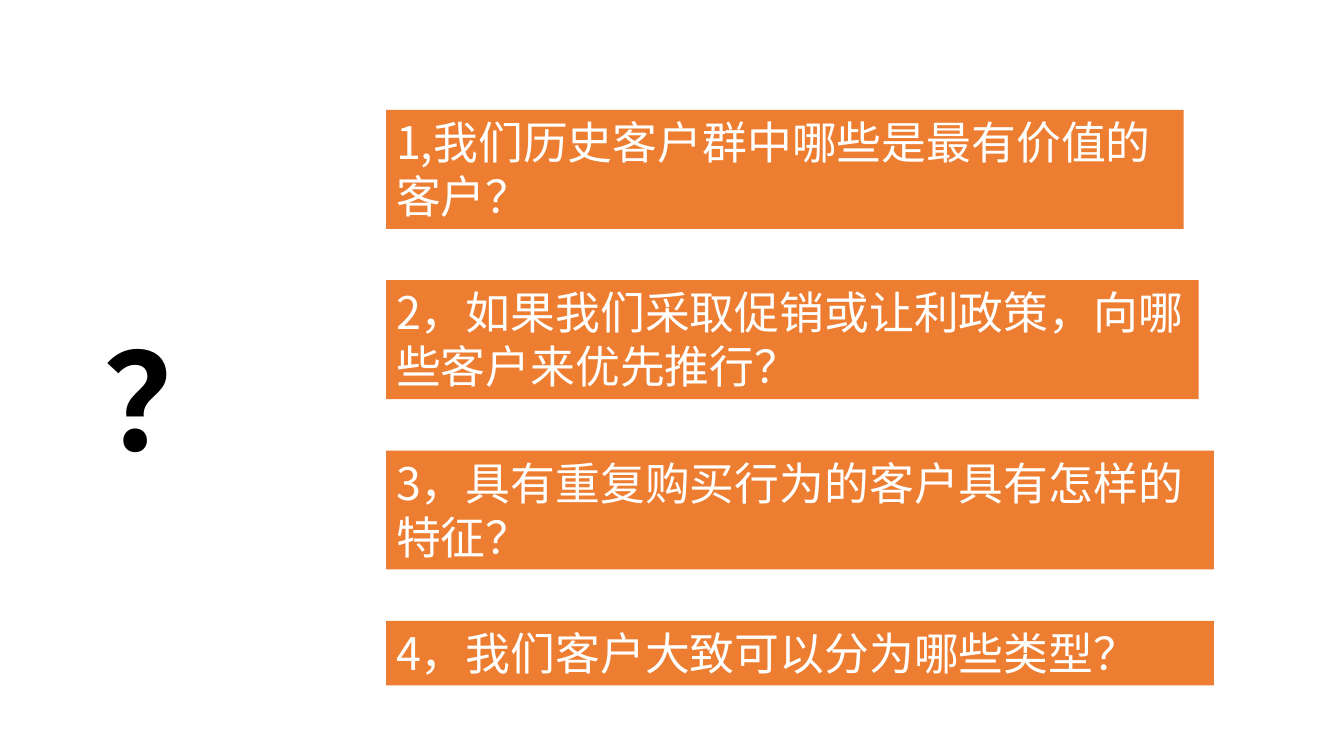
"""Build a slide with four customer questions beside a large question mark."""
from dataclasses import dataclass

from pptx import Presentation
from pptx.dml.color import RGBColor
from pptx.enum.shapes import MSO_SHAPE
from pptx.enum.text import MSO_ANCHOR, MSO_AUTO_SIZE, PP_ALIGN
from pptx.oxml.ns import qn
from pptx.util import Inches, Pt

RECTANGLE = MSO_SHAPE.RECTANGLE
LEFT, CENTER = PP_ALIGN.LEFT, PP_ALIGN.CENTER
TOP = MSO_ANCHOR.TOP
NO_AUTOFIT = MSO_AUTO_SIZE.NONE
BLANK_LAYOUT = 6


@dataclass(frozen=True)
class Theme:
    """Colours, font and type sizes of the slide."""
    accent: RGBColor = RGBColor(0xED, 0x7D, 0x31)
    light: RGBColor = RGBColor(0xFF, 0xFF, 0xFF)
    dark: RGBColor = RGBColor(0x00, 0x00, 0x00)
    font: str = "Noto Sans CJK SC"
    question_size: int = 32
    mark_size: int = 96
    line_ratio: float = 1.2


class SlideBuilder:
    """Adds styled elements to one slide."""

    def __init__(self, page, theme):
        """Keep the slide and its theme."""
        self.page = page
        self.theme = theme

    def add_text(self, box, text, size, color, align=LEFT, bold=False):
        """Put one formatted paragraph into a box."""
        frame = box.text_frame
        frame.word_wrap = True
        frame.auto_size = NO_AUTOFIT
        frame.vertical_anchor = TOP
        para = frame.paragraphs[0]
        para.alignment = align
        para.line_spacing = Pt(size * self.theme.line_ratio)
        span = para.add_run()
        span.text = text
        font = span.font
        font.name, font.size, font.bold = self.theme.font, Pt(size), bold
        font.color.rgb = color
        properties = span._r.get_or_add_rPr()
        east_asian = properties.makeelement(
            qn("a:ea"), {"typeface": self.theme.font})
        properties.find(qn("a:latin")).addnext(east_asian)

    def add_question(self, group, text, left, top, width, height):
        """Add a filled question bar to a group."""
        bar = group.shapes.add_shape(
            RECTANGLE, Inches(left), Inches(top), Inches(width), Inches(height))
        bar.shadow.inherit = False
        bar.fill.solid()
        bar.fill.fore_color.rgb = self.theme.accent
        bar.line.fill.background()
        self.add_text(bar, text, self.theme.question_size, self.theme.light)

    def add_mark(self, text, left, top, width, height):
        """Add the large bold question mark."""
        box = self.page.shapes.add_textbox(
            Inches(left), Inches(top), Inches(width), Inches(height))
        self.add_text(box, text, self.theme.mark_size, self.theme.dark,
                      CENTER, True)


# Question text, bar width and number of lines
QUESTIONS = [
    ("1,我们历史客户群中哪些是最有价值的客户？", 7.91, 2),
    ("2，如果我们采取促销或让利政策，向哪些客户来优先推行？", 8.06, 2),
    ("3，具有重复购买行为的客户具有怎样的特征？", 8.21, 2),
    ("4，我们客户大致可以分为哪些类型？", 8.21, 1),
]
BAR_LEFT, FIRST_TOP, BAR_STEP = 3.83, 1.09, 1.69
LINE_HEIGHT, BAR_PADDING = 0.54, 0.1

deck = Presentation()
deck.slide_width, deck.slide_height = Inches(13.33), Inches(7.5)
page = deck.slides.add_slide(deck.slide_layouts[BLANK_LAYOUT])
builder = SlideBuilder(page, Theme())

question_group = page.shapes.add_group_shape()
for index, (question, bar_width, lines) in enumerate(QUESTIONS):
    builder.add_question(question_group, question, BAR_LEFT,
                         FIRST_TOP + index * BAR_STEP, bar_width,
                         lines * LINE_HEIGHT + BAR_PADDING)
builder.add_mark("？", 0.36, 3.1, 2.67, 1.72)

deck.save("out.pptx")
